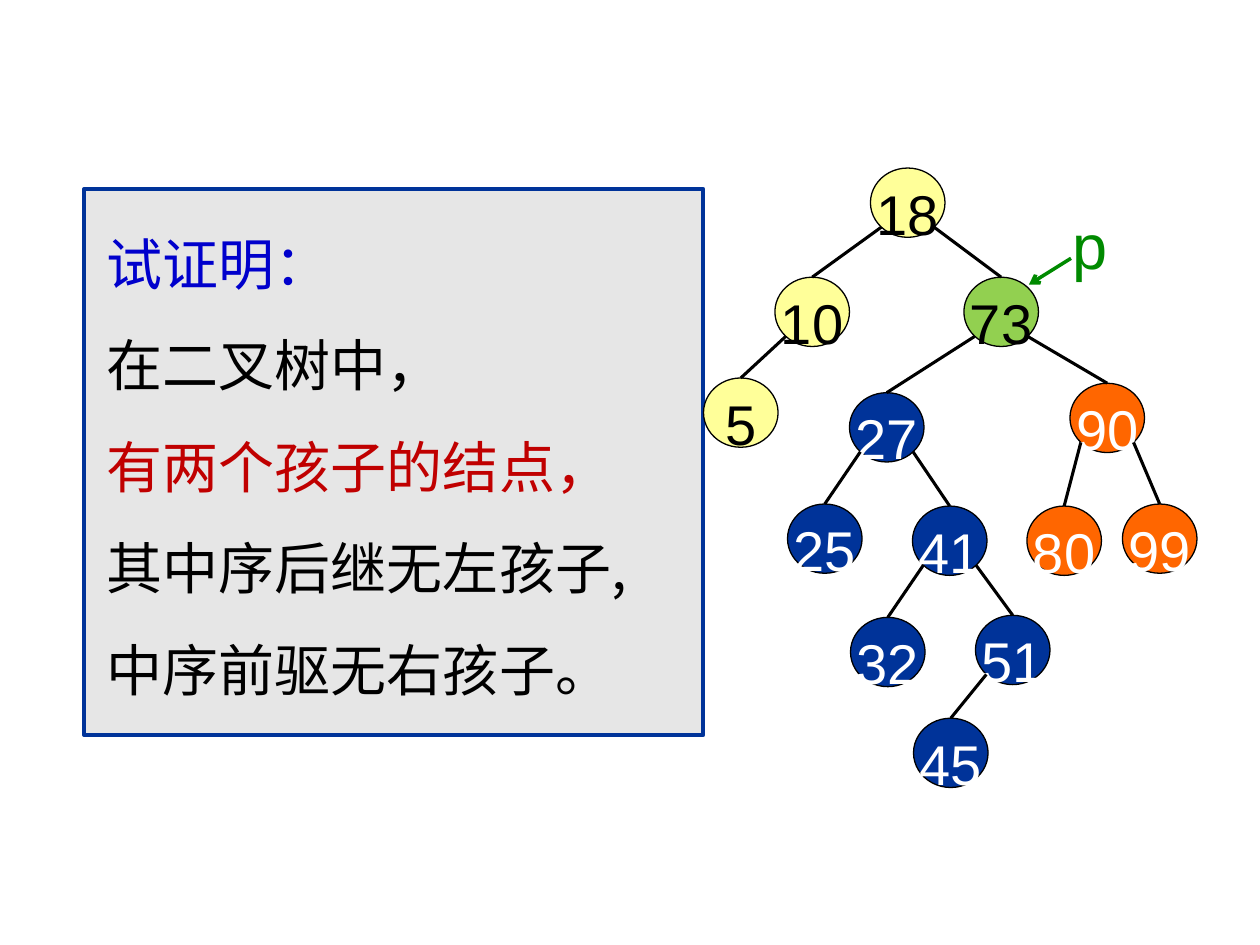
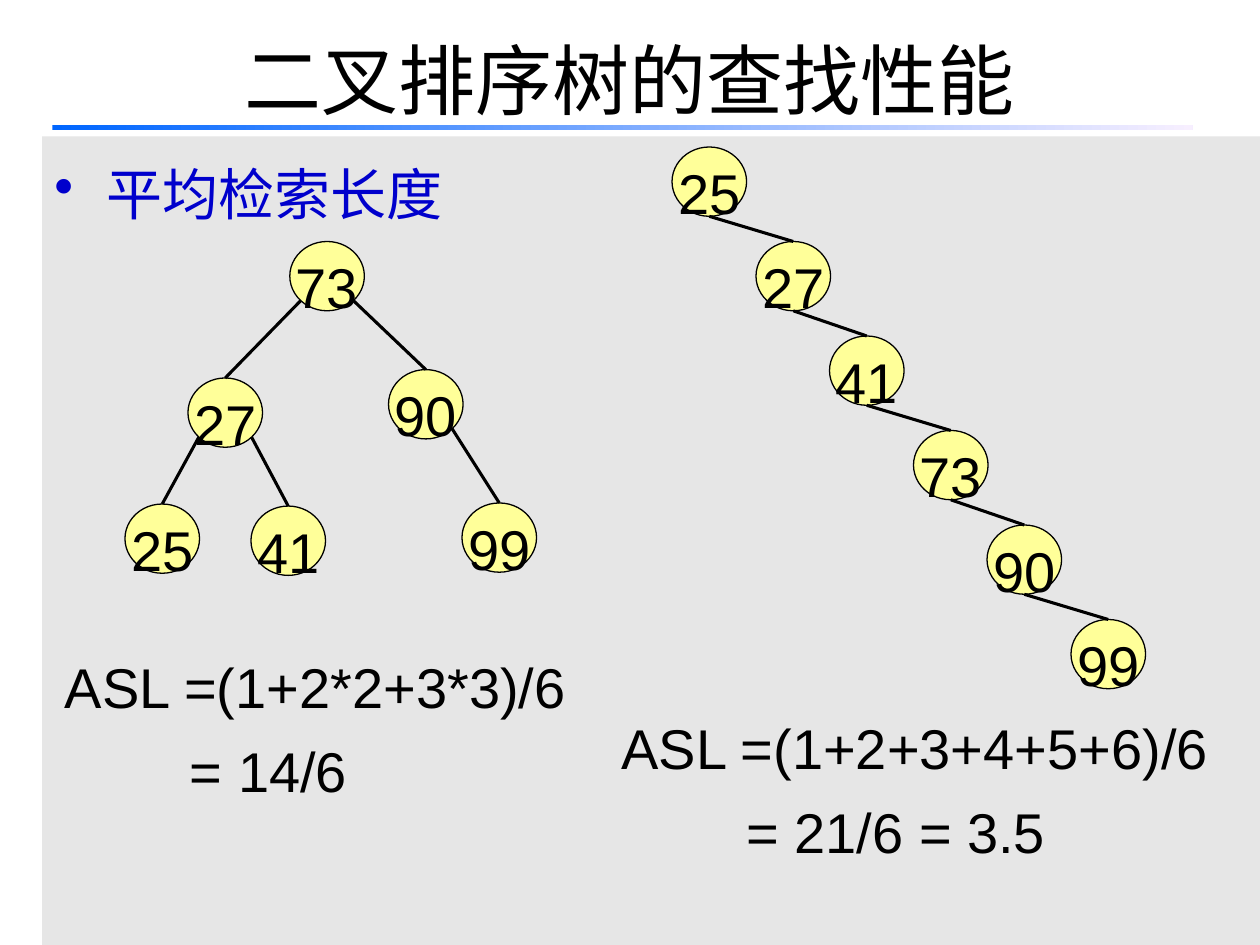
import math

import pptx
import pptx.dml.color
import pptx.enum.shapes
import pptx.enum.text
import pptx.oxml
import pptx.oxml.ns
import pptx.util

COLUMNS, ROWS = 120, 90
NODE_WIDTH, NODE_HEIGHT = 7.1, 6.6
LATIN, CHINESE = "Arial", "Noto Sans CJK SC"
BLACK, WHITE, GREY = "000000", "FFFFFF", "E6E6E6"
NAVY, BLUE, RED, ORANGE = "003399", "0000CC", "C00000", "FF6600"
YELLOW, LIGHT_GREEN, GREEN = "FFFF99", "92D050", "008A00"
SKY, LILAC = "0066FF", "F7EFFF"

SHAPE = pptx.enum.shapes.MSO_SHAPE
ALIGN = pptx.enum.text.PP_ALIGN
ANCHOR = pptx.enum.text.MSO_ANCHOR


def rgb(color):
    return pptx.dml.color.RGBColor.from_string(color)


def add_element(parent, tag, **attributes):
    element = pptx.oxml.parse_xml(f'<{tag} {pptx.oxml.ns.nsdecls("a")}/>')
    for name, value in attributes.items():
        element.set(name, value)
    parent.append(element)


class Deck:
    def __init__(self):
        self.presentation = pptx.Presentation()
        self.presentation.slide_width = pptx.util.Inches(10)
        self.presentation.slide_height = pptx.util.Inches(7.5)
        self.slide = None

    def new_slide(self):
        blank = self.presentation.slide_layouts[6]
        self.slide = self.presentation.slides.add_slide(blank)

    def grid(self, *lengths):
        """Turn alternating columns and rows into slide lengths."""
        units = (self.presentation.slide_width / COLUMNS,
                 self.presentation.slide_height / ROWS)
        return [round(length * units[i % 2]) for i, length in enumerate(lengths)]

    def set_lines(self, frame, lines, size=32, font=LATIN, pitch=None,
                  align=ALIGN.LEFT, anchor=ANCHOR.TOP, wrap=True):
        """Fill a frame with (text, colour, indent in columns) lines."""
        frame.word_wrap = wrap
        frame.vertical_anchor = anchor
        for number, (text, color, indent) in enumerate(lines):
            paragraph = frame.paragraphs[0] if number == 0 else frame.add_paragraph()
            paragraph.alignment = align
            if pitch:
                paragraph.line_spacing = pptx.util.Pt(pitch)
            if indent:
                paragraph._p.get_or_add_pPr().set("marL", str(self.grid(indent)[0]))
            run = paragraph.add_run()
            run.text = text
            run.font.size = pptx.util.Pt(size)
            run.font.name = font
            run.font.color.rgb = rgb(color)
            add_element(run._r.get_or_add_rPr(), "a:ea", typeface=CHINESE)

    def shape(self, kind, place, fill, line=None, width=0.75):
        shape = self.slide.shapes.add_shape(kind, *self.grid(*place))
        shape.shadow.inherit = False
        shape.fill.solid()
        shape.fill.fore_color.rgb = rgb(fill)
        if line:
            shape.line.color.rgb = rgb(line)
            shape.line.width = pptx.util.Pt(width)
        else:
            shape.line.fill.background()
        return shape

    def text(self, place, lines, **style):
        box = self.slide.shapes.add_textbox(*self.grid(*place))
        self.set_lines(box.text_frame, lines, **style)

    def line(self, start, end, color=BLACK, width=1.75, arrow=False):
        connector = self.slide.shapes.add_connector(
            pptx.enum.shapes.MSO_CONNECTOR.STRAIGHT, *self.grid(*start, *end))
        connector.line.color.rgb = rgb(color)
        connector.line.width = pptx.util.Pt(width)
        if arrow:
            add_element(connector.line._get_or_add_ln(), "a:tailEnd", type="arrow")
        add_element(connector._element.spPr, "a:effectLst")
        return connector

    def node(self, key, column, row, fill):
        circle = self.shape(SHAPE.OVAL, (column, row, NODE_WIDTH, NODE_HEIGHT),
                            fill, BLACK)
        ink = WHITE if fill in (NAVY, ORANGE) else BLACK
        self.set_lines(circle.text_frame, [(str(key), ink, 0)], pitch=50,
                       align=ALIGN.CENTER, anchor=ANCHOR.MIDDLE, wrap=False)
        return circle

    def tree(self, nodes, chain=False):
        """Draw (key, parent, column, row, fill) nodes, parents first.

        Edges leave a parent at 45 degrees, or at its bottom in a chain.
        """
        corners = {}
        for key, parent, column, row, fill in nodes:
            circle = self.node(key, column, row, fill)
            corners[key] = column, row
            if parent is None:
                continue
            angle = math.radians(90 if chain else 135 if key < parent else 45)
            left, top = corners[parent]
            start = (left + NODE_WIDTH / 2 * (1 + math.cos(angle)),
                     top + NODE_HEIGHT / 2 * (1 + math.sin(angle)))
            edge = self.line(start, (column + NODE_WIDTH / 2, row))
            edge.end_connect(circle, 0)

    def title(self, words):
        self.text((6, 0, 108, 15), [(words, BLACK, 0)], size=44, font=CHINESE,
                  align=ALIGN.CENTER, anchor=ANCHOR.MIDDLE)
        rule = self.shape(SHAPE.RECTANGLE, (5, 11.9, 108.6, 0.5), SKY)
        rule.fill.gradient()
        rule.fill.gradient_angle = 0
        for stop, color in zip(rule.fill.gradient_stops, (SKY, LILAC)):
            stop.color.rgb = rgb(color)

    def bullet_panel(self, place, words):
        panel = self.shape(SHAPE.RECTANGLE, place, GREY)
        hanging = 5
        properties = panel.text_frame.paragraphs[0]._p.get_or_add_pPr()
        properties.set("indent", str(-self.grid(hanging)[0]))
        add_element(properties, "a:buChar", char="•")
        self.set_lines(panel.text_frame, [(words, BLUE, hanging)], pitch=48)

    def formula(self, place, first, second):
        """Set a sum and, under it, the result moved in from the left."""
        self.text(place, [(first, BLACK, 0), (second, BLACK, 11.9)], pitch=48)


def proof_slide(deck):
    deck.new_slide()
    claim = deck.shape(SHAPE.RECTANGLE, (8, 18, 59, 52), GREY, NAVY, 2.25)
    deck.set_lines(claim.text_frame, [
        ("试证明：", BLUE, 1),
        ("在二叉树中，", BLACK, 1),
        ("有两个孩子的结点，", RED, 1),
        ("其中序后继无左孩子,", BLACK, 1),
        ("中序前驱无右孩子。", BLACK, 1),
    ], font=CHINESE, pitch=58, align=ALIGN.JUSTIFY)
    deck.tree([
        (18, None, 82.9, 16, YELLOW),
        (10, 18, 73.8, 26.4, YELLOW),
        (73, 18, 91.8, 26.4, LIGHT_GREEN),
        (5, 10, 67, 36, YELLOW),
        (27, 73, 80.9, 37.4, NAVY),
        (25, 27, 75, 48, NAVY),
        (41, 27, 86.9, 48.2, NAVY),
        (32, 41, 81, 58.8, NAVY),
        (51, 41, 92.9, 58.6, NAVY),
        (45, 51, 87, 68.4, NAVY),
        (90, 73, 101.9, 36.5, ORANGE),
        (80, 90, 97.8, 48.2, ORANGE),
        (99, 90, 106.9, 48, ORANGE),
    ])
    deck.text((101, 17.6, 7, 9), [("p", GREEN, 0)], size=36, pitch=52)
    deck.line((102, 24.6), (98, 27.1), GREEN, 2, arrow=True)


def search_length_slide(deck):
    deck.new_slide()
    deck.title("二叉排序树的查找性能")
    deck.bullet_panel((4, 13, 116, 77), "平均检索长度")
    deck.tree([
        (73, None, 27.6, 23, YELLOW),
        (27, 73, 17.9, 36, YELLOW),
        (25, 27, 11.9, 48, YELLOW),
        (41, 27, 23.9, 48.2, YELLOW),
        (90, 73, 37, 35.2, YELLOW),
        (99, 90, 44, 47.9, YELLOW),
    ])
    keys = [25, 27, 41, 73, 90, 99]
    deck.tree([
        (key, parent, 64 + 7 * step + (step + 1) // 2, 14 + 9 * step, YELLOW)
        for step, (key, parent) in enumerate(zip(keys, [None] + keys))
    ], chain=True)
    deck.formula((5, 60, 54, 16.5), "ASL =(1+2*2+3*3)/6", "= 14/6")
    deck.formula((58, 65.8, 62, 17.4), "ASL =(1+2+3+4+5+6)/6", "= 21/6 = 3.5")


def main():
    deck = Deck()
    proof_slide(deck)
    search_length_slide(deck)
    deck.presentation.save("out.pptx")


if __name__ == "__main__":
    main()
